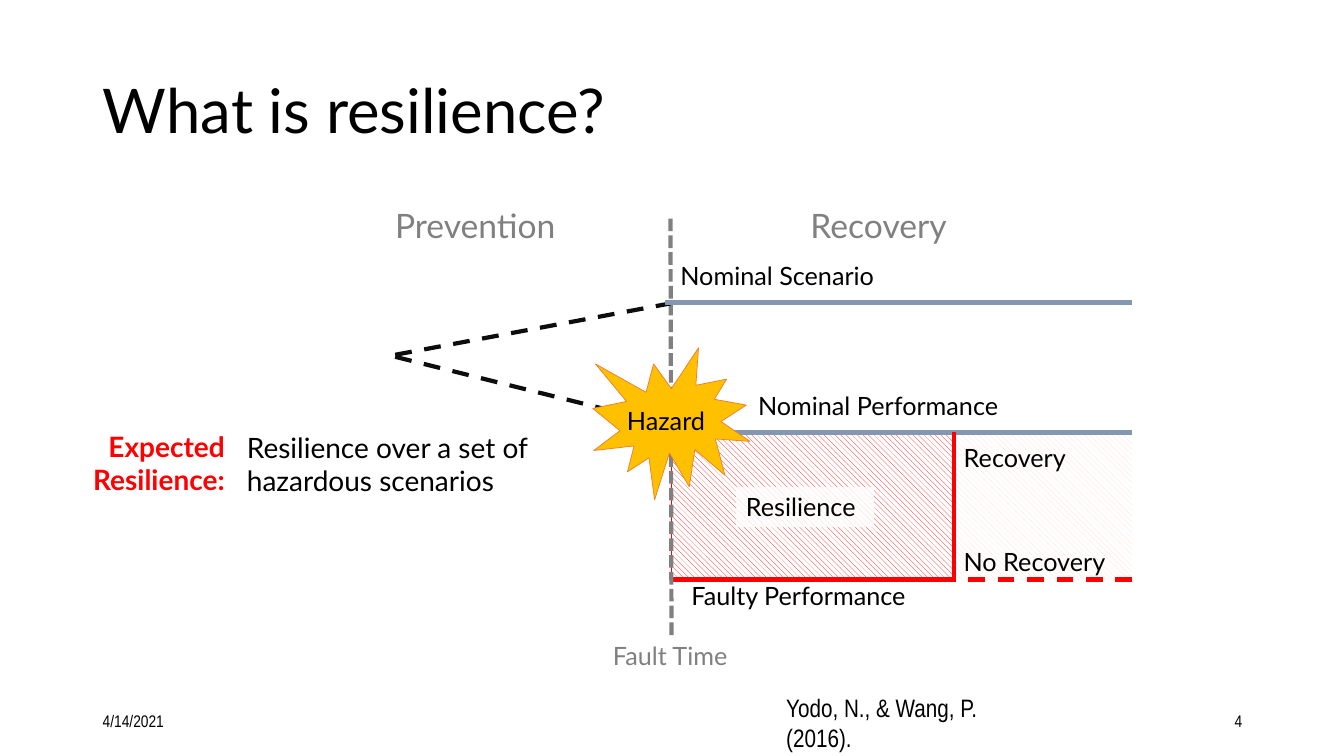
"""Build the slide that explains resilience before and after a fault."""
from lxml import etree
from pptx import Presentation
from pptx.dml.color import RGBColor
from pptx.enum.dml import MSO_LINE, MSO_PATTERN
from pptx.enum.shapes import MSO_CONNECTOR, MSO_SHAPE
from pptx.enum.text import MSO_ANCHOR, MSO_AUTO_SIZE, PP_ALIGN
from pptx.oxml.ns import qn
from pptx.util import Inches, Pt

DASH, SHORT = MSO_LINE.DASH, MSO_LINE.SQUARE_DOT
HATCH = MSO_PATTERN.WIDE_DOWNWARD_DIAGONAL
RECT, BURST = MSO_SHAPE.RECTANGLE, MSO_SHAPE.EXPLOSION1
STRAIGHT = MSO_CONNECTOR.STRAIGHT
LEFT, RIGHT = PP_ALIGN.LEFT, PP_ALIGN.RIGHT
TOP, MID = MSO_ANCHOR.TOP, MSO_ANCHOR.MIDDLE
FIXED = MSO_AUTO_SIZE.NONE
BLACK, GRAY, RED, WHITE = "000000", "808080", "FF0000", "FFFFFF"
INK, STEEL = "0D0D0D", "8497B0"
FAULT, FIX, END = 6.66, 9.46, 11.23
GOOD, BAD = 4.29, 5.75
hue = RGBColor.from_string


def place(left, top, width, height):
    """Turn a box in inches into lengths."""
    return [Inches(n) for n in (left, top, width, height)]


def write(frame, text, style, align=LEFT, anchor=TOP):
    """Fill a text frame and format its paragraphs."""
    frame.text = text
    looks = {"word_wrap": True, "auto_size": FIXED, "vertical_anchor": anchor}
    for key, value in looks.items():
        setattr(frame, key, value)
    for para in frame.paragraphs:
        para.alignment = align
        for key, value in style.items():
            if key == "color":
                para.font.color.rgb = hue(value)
            else:
                setattr(para.font, key, value)


deck = Presentation()
deck.slide_width, deck.slide_height = Inches(13.33), Inches(7.5)
slide = deck.slides.add_slide(deck.slide_layouts[5])
shapes = slide.shapes

base = {"name": "Lato", "size": Pt(18), "color": BLACK}
head = {**base, "size": Pt(24), "color": GRAY}
note = {**base, "size": Pt(20)}
alert = {**note, "color": RED, "bold": True}
cite = {**base, "name": "Arial Narrow"}
foot = {**cite, "size": Pt(12)}

title = shapes.title
title.left, title.top, title.width, title.height = place(0.92, 0.4, 11.5, 1.45)
write(title.text_frame, "What is resilience?", {**base, "size": Pt(44)}, LEFT, MID)
title.text_frame.paragraphs[0].line_spacing = 0.9

for left, right, color, edge in [
    (FIX, END, "FFD9D9", None),
    (FAULT, FIX, RED, "4472C4"),
]:
    area = shapes.add_shape(RECT, *place(left, GOOD, right - left, BAD - GOOD))
    area.shadow.inherit = False
    area.fill.patterned()
    area.fill.pattern = HATCH
    area.fill.fore_color.rgb = hue(color)
    area.fill.back_color.rgb = hue(WHITE)
    if edge:
        area.line.color.rgb = hue(edge)
        area.line.width = Pt(0.5)
    else:
        area.line.fill.background()

for x1, y1, x2, y2, color, width, dash in [
    (3.92, 3.54, 6.65, 4.22, INK, 3, DASH),
    (6.28, GOOD, END, GOOD, STEEL, 3, None),
    (FAULT, GOOD, FAULT, BAD, RED, 1, None),
    (FAULT, BAD, FIX, BAD, RED, 3, None),
    (FIX, BAD, FIX, GOOD, RED, 3, None),
    (FAULT, 6.3, 6.65, 2.15, GRAY, 3, SHORT),
    (END, BAD, FIX, BAD, RED, 3, DASH),
    (3.92, 3.52, 6.65, 3.01, INK, 3, DASH),
    (6.6, 3, END, 3, STEEL, 3, None),
]:
    link = shapes.add_connector(STRAIGHT, *place(x1, y1, x2, y2))
    link.line.color.rgb = hue(color)
    link.line.width = Pt(width)
    if dash:
        link.line.dash_style = dash
    etree.SubElement(link._element.spPr, qn("a:effectLst"))

burst = shapes.add_shape(BURST, *place(5.88, 3.45, 1.56, 1.51))
burst.shadow.inherit = False
burst.fill.solid()
burst.fill.fore_color.rgb = hue("FFC000")
burst.line.color.rgb = hue("ED7D31")
burst.line.width = Pt(0.5)

for text, left, top, width, style in [
    ("Prevention", 3.82, 1.98, 1.84, head),
    ("Recovery", 7.94, 1.98, 1.61, head),
    ("Fault Time", 5.98, 6.3, 1.38, {**base, "color": GRAY}),
    ("Nominal Scenario", 6.65, 2.53, 3.22, base),
    ("Nominal Performance", 7.42, 3.82, 3.22, base),
    ("Faulty Performance", 6.76, 5.71, 2.44, base),
    ("Recovery", FIX, 4.34, 1.31, base),
    ("No Recovery", FIX, 5.37, 1.64, base),
    ("Hazard", 6.12, 3.97, 1.09, base),
    ("Yodo, N., & Wang, P. (2016).", 7.7, 6.82, 2.43, cite),
]:
    box = shapes.add_textbox(*place(left, top, width, 0.4))
    write(box.text_frame, text, style)

for text, left, top, width, height, style, align in [
    ("Resilience", 7.3, 4.83, 1.37, 0.4, base, LEFT),
    ("Expected\nResilience:", 0.63, 4.21, 1.7, 0.77, alert, RIGHT),
    ("Resilience over a set of hazardous scenarios",
     2.35, 4.22, 3.35, 0.77, note, LEFT),
]:
    panel = shapes.add_shape(RECT, *place(left, top, width, height))
    panel.shadow.inherit = False
    panel.line.fill.background()
    panel.fill.solid()
    panel.fill.fore_color.rgb = hue(WHITE)
    tint = panel._element.spPr.find(qn("a:solidFill"))[0]
    etree.SubElement(tint, qn("a:alpha"), val="80000")
    write(panel.text_frame, text, style, align)

for text, left, align in [("4/14/2021", 0.92, LEFT), ("4", 9.42, RIGHT)]:
    box = shapes.add_textbox(*place(left, 6.95, 3, 0.4))
    write(box.text_frame, text, foot, align, MID)

deck.save("out.pptx")
